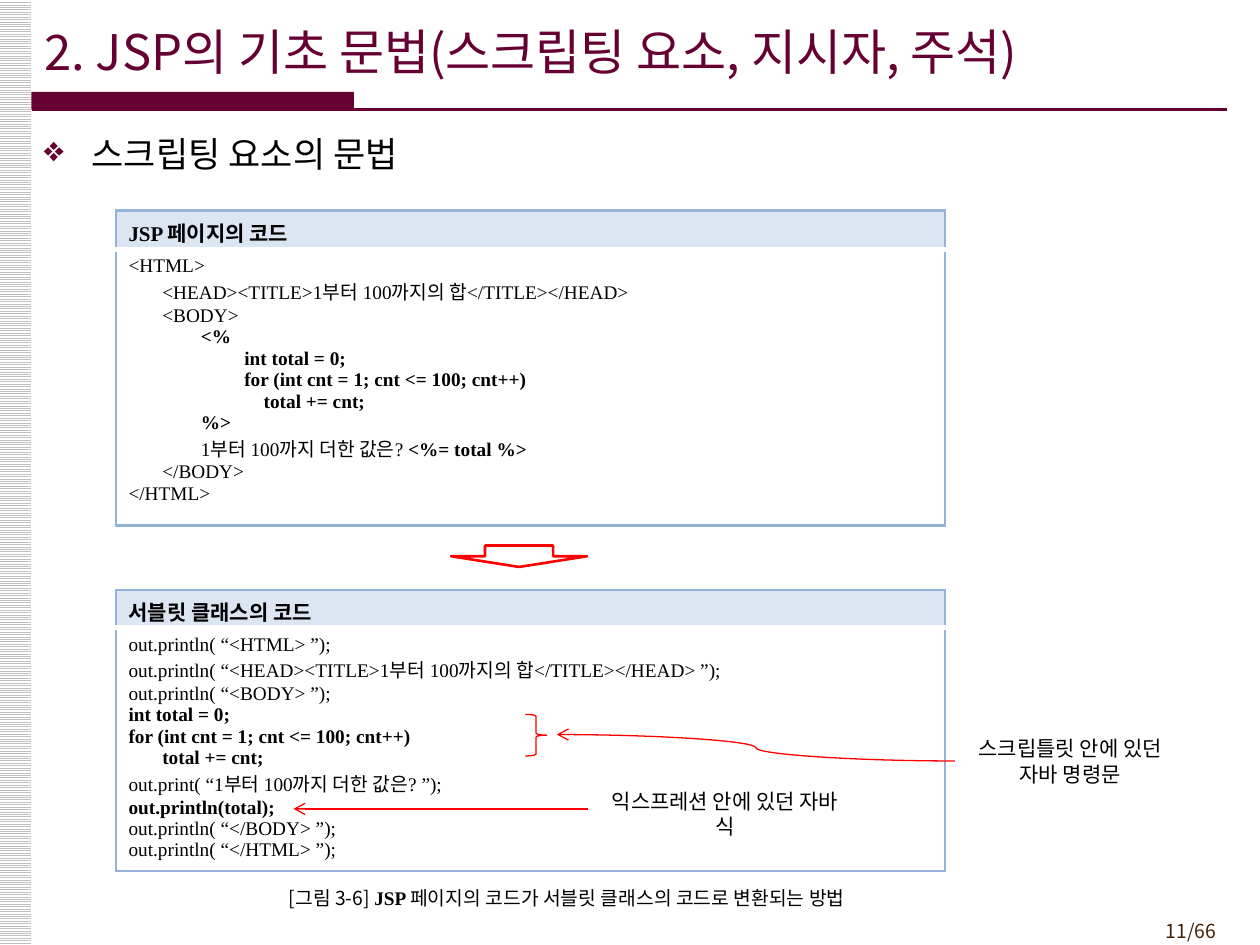
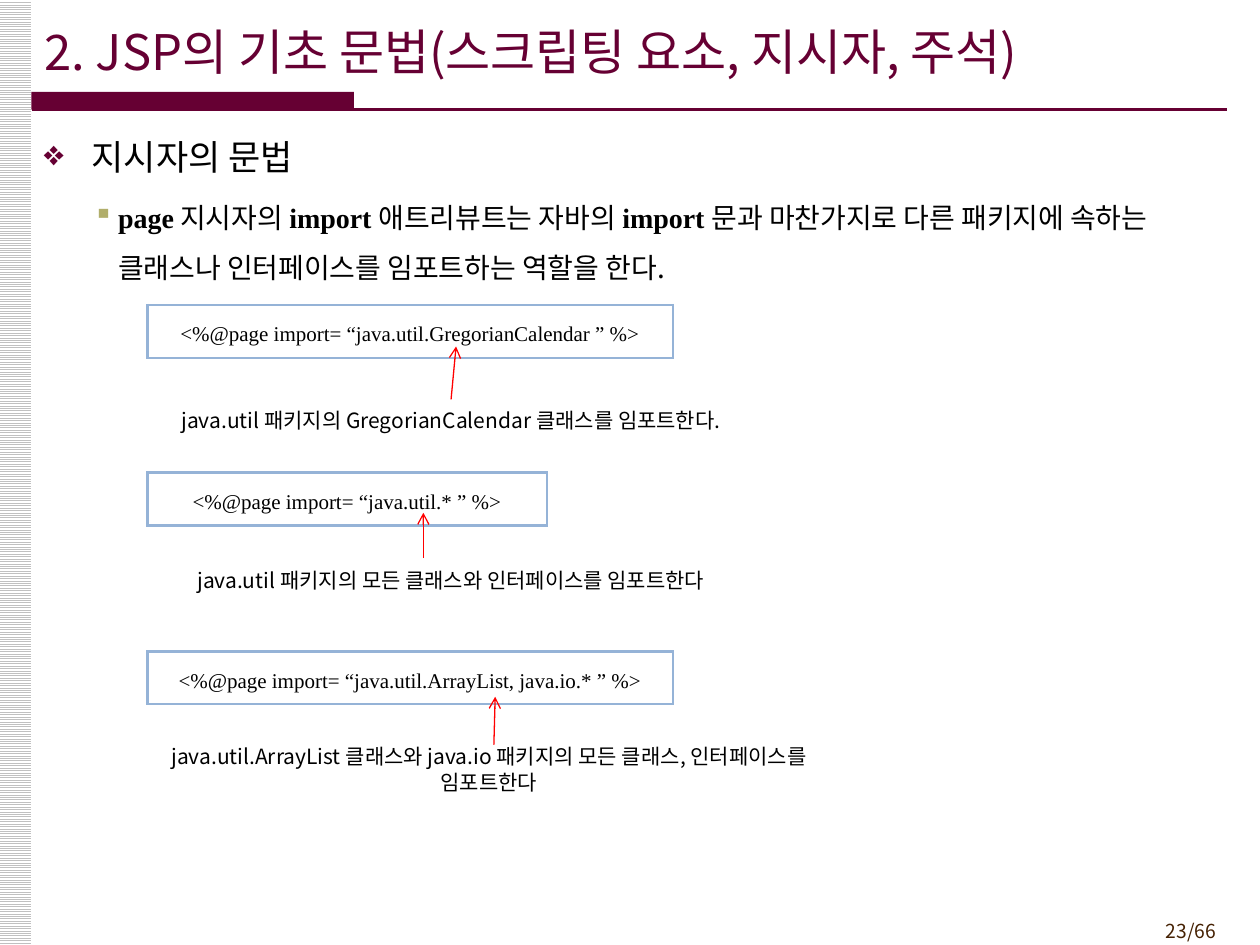
import pptx
import pptx.util
import pptx.dml.color
import pptx.enum.dml
import pptx.enum.shapes
import pptx.enum.text
import pptx.oxml.ns
import lxml.etree

Inches = pptx.util.Inches
Pt = pptx.util.Pt
Shape = pptx.enum.shapes.MSO_SHAPE
Link = pptx.enum.shapes.MSO_CONNECTOR
Align = pptx.enum.text.PP_ALIGN
Anchor = pptx.enum.text.MSO_ANCHOR

SANS = "Noto Sans CJK KR"
SERIF = "Times New Roman"
HUES = {
    "wine": "660033", "black": "000000", "white": "FFFFFF", "gray": "C0C0C0",
    "brown": "452103", "olive": "B1AE6B", "red": "FF0000",
    "blue": "95B3D7", "pale": "DCE6F2",
}
TITLE = "2. JSP의 기초 문법(스크립팅 요소, 지시자, 주석)"
MARK = "§"

PAGE = """<HTML>
       <HEAD><TITLE>1부터 100까지의 합</TITLE></HEAD>
       <BODY>
§               <%
§                        int total = 0;
§                        for (int cnt = 1; cnt <= 100; cnt++)
§                            total += cnt;
§               %>
               1부터 100까지 더한 값은? §<%= total %>
       </BODY>
</HTML>"""
SERVLET = """out.println( “<HTML> ”);
out.println( “<HEAD><TITLE>1부터 100까지의 합</TITLE></HEAD> ”);
out.println( “<BODY> ”);
§int total = 0;
§for (int cnt = 1; cnt <= 100; cnt++)
§       total += cnt;
out.print( “1부터 100까지 더한 값은? ”);
§out.println(total);
out.println( “</BODY> ”);
out.println( “</HTML> ”);"""


def hue(name):
    return pptx.dml.color.RGBColor.from_string(HUES[name])


def sub(parent, tag, **attrs):
    node = lxml.etree.SubElement(parent, pptx.oxml.ns.qn(tag))
    for key, value in attrs.items():
        node.set(key, str(value))
    return node


def inch(*sizes):
    return [Inches(size) for size in sizes]


def shift(box, left, top, *size):
    return (box[0] + left, box[1] + top, *size)


def style(font, face, bold):
    font.name = face
    font.bold = bold
    sub(font._rPr, "a:ea", typeface=SANS)


def write(para, text, size, face=SANS, color="black", align=Align.LEFT):
    para.alignment = align
    para.font.size = Pt(size)
    para.font.color.rgb = hue(color)
    parts = [(part, i % 2 == 1) for i, part in enumerate(text.split(MARK)) if part]
    for part, bold in parts:
        run = para.add_run()
        run.text = part
        font = run.font if len(parts) > 1 else para.font
        style(font, SERIF if bold else face, bold)


def fill_in(frame, text, size, **look):
    frame.word_wrap = True
    for i, line in enumerate(text.split("\n")):
        para = frame.add_paragraph() if i else frame.paragraphs[0]
        write(para, line, size, **look)


def add_box(slide, box, kind=Shape.RECTANGLE, fill=None, line=None, width=1):
    shape = slide.shapes.add_shape(kind, *inch(*box))
    shape.shadow.inherit = False
    if fill:
        shape.fill.solid()
        shape.fill.fore_color.rgb = hue(fill)
    else:
        shape.fill.background()
    if line:
        shape.line.color.rgb = hue(line)
        shape.line.width = Pt(width)
    else:
        shape.line.fill.background()
    return shape


def add_note(slide, box, text, size=12):
    frame = add_box(slide, box, fill="white").text_frame
    frame.vertical_anchor = Anchor.MIDDLE
    fill_in(frame, text, size, align=Align.CENTER)


def add_line(slide, start, end, kind=Link.STRAIGHT, color="red", width=0.75, arrow=True):
    line = slide.shapes.add_connector(kind, *inch(*start[:2], *end[:2]))
    line.line.color.rgb = hue(color)
    line.line.width = Pt(width)
    if arrow:
        sub(line.line._get_or_add_ln(), "a:tailEnd", type="arrow")
    sub(line._element.spPr, "a:effectLst")


def edge(cell, **sides):
    for side in "LRTB":
        color, width = sides.get(side, ("blue", 1.5))
        line = sub(cell._tc.get_or_add_tcPr(), "a:ln" + side, w=Pt(width))
        sub(sub(line, "a:solidFill"), "a:srgbClr", val=HUES[color])


def add_grid(slide, box, rows):
    grid = slide.shapes.add_table(len(rows), 1, *inch(*box)).table
    grid.first_row = grid.horz_banding = False
    for row, height in zip(grid.rows, rows):
        row.height = Inches(height)
    return grid


def bullet(para, char, color, left, hang):
    props = para._p.get_or_add_pPr()
    props.set("marL", str(Inches(left)))
    props.set("indent", str(-Inches(hang)))
    sub(sub(props, "a:buClr"), "a:srgbClr", val=HUES[color])
    sub(props, "a:buChar", char=char)


def add_body(slide, box, head, point=None):
    frame = slide.shapes.add_textbox(*inch(*box)).text_frame
    frame.word_wrap = True
    para = frame.paragraphs[0]
    bullet(para, "❖", "wine", 0.38, 0.38)
    write(para, head, 20)
    if point:
        para = frame.add_paragraph()
        bullet(para, "▪", "olive", 0.59, 0.2)
        para.line_spacing = 1.5
        para.space_before = Pt(3.2)
        para.space_after = Pt(3)
        write(para, point, 16)


def add_page(deck, number):
    slide = deck.slides.add_slide(deck.slide_layouts[5])
    strip = add_box(slide, (0, 0, 0.25, 7.5))
    strip.fill.patterned()
    strip.fill.pattern = pptx.enum.dml.MSO_PATTERN.LIGHT_HORIZONTAL
    strip.fill.fore_color.rgb = hue("gray")
    strip.fill.back_color.rgb = hue("white")
    foot = slide.shapes.add_textbox(*inch(8.92, 7.25, 0.83, 0.29))
    fill_in(foot.text_frame, number, 11, color="brown", align=Align.RIGHT)
    add_box(slide, (0.25, 0.73, 2.56, 0.14), fill="wine")
    add_line(slide, (0.25, 0.87), (9.74, 0.87), color="wine", width=1.5, arrow=False)
    title = slide.shapes.title
    title.left, title.top, title.width, title.height = inch(0.25, 0.09, 9.25, 0.63)
    title.text_frame.auto_size = pptx.enum.text.MSO_AUTO_SIZE.NONE
    title.text_frame.vertical_anchor = Anchor.MIDDLE
    fill_in(title.text_frame, TITLE, 28, color="wine")
    return slide


def add_code(slide, box, rows, head, code):
    top, base = (row.cells[0] for row in add_grid(slide, box, rows).rows)
    edge(top, B=("white", 3))
    edge(base, T=("white", 3))
    for cell, fill in ((top, "pale"), (base, "white")):
        cell.fill.solid()
        cell.fill.fore_color.rgb = hue(fill)
    fill_in(top.text_frame, MARK + head, 12)
    fill_in(base.text_frame, code, 11, face=SERIF)


def add_flow(slide, box):
    add_code(slide, shift(box, 0, 0, box[2], 2.5), (0.31, 2.19), "JSP 페이지의 코드", PAGE)
    add_code(slide, shift(box, 0, 3.01, box[2], 1.68), (0.27, 1.41),
             "서블릿 클래스의 코드", SERVLET)
    add_note(slide, shift(box, 6.66, 4.16, 1.83, 0.42), "스크립틀릿 안에 있던\n자바 명령문")
    add_box(slide, shift(box, 3.25, 4, 0.17, 0.33), Shape.RIGHT_BRACE, line="red", width=0.75)
    add_line(slide, shift(box, 6.66, 4.37), shift(box, 3.5, 4.16), Link.CURVE)
    add_box(slide, shift(box, 2.66, 2.66, 1.08, 0.17), Shape.DOWN_ARROW, line="red", width=1.5)
    add_note(slide, shift(box, 3.75, 4.58, 2.17, 0.42), "익스프레션 안에 있던 자바 식")
    add_line(slide, shift(box, 3.75, 4.75), shift(box, 1.41, 4.75), Link.CURVE)
    add_note(slide, shift(box, 0.83, 5.33, 5.5, 0.25),
             "[그림 3-6] §JSP §페이지의 코드가 서블릿 클래스의 코드로 변환되는 방법", 11)


def add_case(slide, box, code, note, label, start, end):
    cell = add_grid(slide, box, (box[3],)).cell(0, 0)
    edge(cell)
    cell.fill.background()
    fill_in(cell.text_frame, code, 12, face=SERIF, align=Align.CENTER)
    cell.text_frame.paragraphs[0].line_spacing = 1.5
    add_note(slide, shift(box, *label, 0.33), note)
    add_line(slide, shift(box, *start), shift(box, *end))


def main():
    deck = pptx.Presentation()
    deck.slide_width, deck.slide_height = inch(10, 7.5)

    slide = add_page(deck, "11/66")
    add_body(slide, (0.25, 1, 9.5, 6.25), "스크립팅 요소의 문법")
    add_flow(slide, (0.92, 1.67, 6.58, 5.58))

    slide = add_page(deck, "23/66")
    add_body(slide, (0.25, 1.03, 9.5, 6.25), "지시자의 문법",
             "§page§ 지시자의 §import §애트리뷰트는 자바의 §import §"
             "문과 마찬가지로 다른 패키지에 속하는 클래스나 인터페이스를 임포트하는 역할을 한다.")
    cases = (
        (2.42, 4.17, "java.util.GregorianCalendar",
         "java.util 패키지의 GregorianCalendar 클래스를 임포트한다.",
         (0.16, 0.75, 4.5), (2.41, 0.75), (2.45, 0.33)),
        (3.75, 3.17, "java.util.*",
         "java.util 패키지의 모든 클래스와 인터페이스를 임포트한다",
         (0.16, 0.69, 4.5), (2.19, 0.68), (2.19, 0.32)),
        (5.17, 4.17, "java.util.ArrayList, java.io.*",
         "java.util.ArrayList 클래스와 java.io 패키지의 모든 클래스, 인터페이스를 임포트한다",
         (-0.25, 0.77, 5.92), (2.75, 0.74), (2.76, 0.36)),
    )
    for top, width, name, *rest in cases:
        add_case(slide, (1.17, top, width, 0.42), f"<%@page import= “{name} ” %>", *rest)

    deck.save("out.pptx")


if __name__ == "__main__":
    main()
